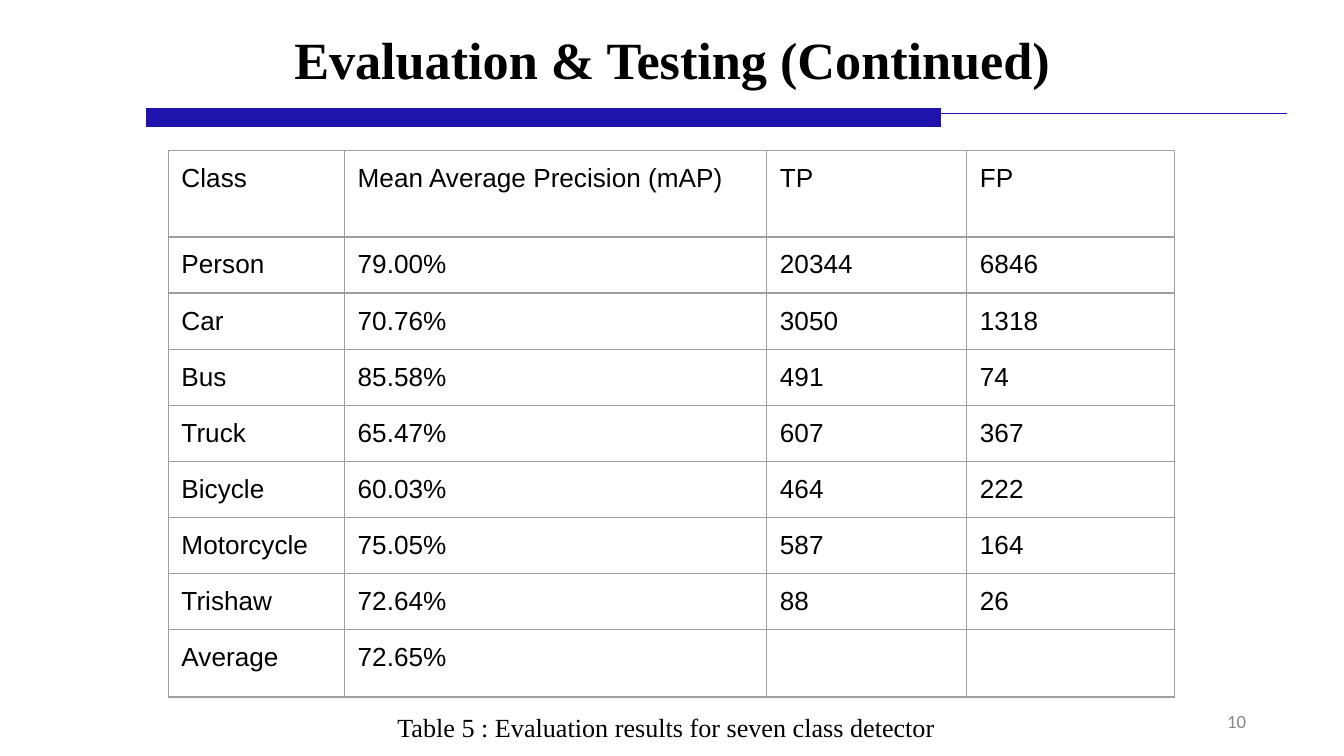
from dataclasses import dataclass

from lxml import etree
from pptx import Presentation
from pptx import util as u
from pptx.dml import color
from pptx.enum import shapes, text
from pptx.oxml import ns


@dataclass(frozen=True)
class Theme:
    ink: str = "000000"
    accent: str = "1E13AD"
    muted: str = "888888"
    grid: str = "9E9E9E"
    paper: str = "FFFFFF"
    serif: str = "Times New Roman"
    sans: str = "Arial"
    number_face: str = "Calibri"
    title_size: float = 28
    body_size: float = 14
    number_size: float = 10
    thin: float = 0.75
    thick: float = 10


THEME = Theme()
HEADER = ("Class", "Mean Average Precision (mAP)", "TP", "FP")
RESULTS = (
    ("Person", "79.00%", "20344", "6846"),
    ("Car", "70.76%", "3050", "1318"),
    ("Bus", "85.58%", "491", "74"),
    ("Truck", "65.47%", "607", "367"),
    ("Bicycle", "60.03%", "464", "222"),
    ("Motorcycle", "75.05%", "587", "164"),
    ("Trishaw", "72.64%", "88", "26"),
    ("Average", "72.65%", "", ""),
)
COLUMN_WIDTHS = (3.33, 7.98, 3.78, 3.92)
HEADER_HEIGHT, ROW_HEIGHT, LAST_HEIGHT = 1.63, 1.06, 1.23


def rgb(value):
    return color.RGBColor.from_string(value)


def set_all(target, values):
    for name, value in values.items():
        setattr(target, name, value)


def write(frame, words, size, face, ink=THEME.ink, bold=False, align=None):
    para = frame.paragraphs[0]
    para.alignment = align
    span = para.add_run()
    span.text = words
    set_all(span.font, {"size": u.Pt(size), "name": face, "bold": bold})
    span.font.color.rgb = rgb(ink)


def set_frame(frame, inset, anchor):
    set_all(frame, {
        "word_wrap": True,
        "auto_size": text.MSO_AUTO_SIZE.NONE,
        "vertical_anchor": anchor,
        "margin_left": u.Cm(inset),
        "margin_right": u.Cm(inset),
        "margin_top": u.Cm(inset),
        "margin_bottom": u.Cm(inset),
    })


def add_title(page, left, top, width, height):
    title = page.shapes.title
    set_all(title, {"left": u.Cm(left), "top": u.Cm(top),
                    "width": u.Cm(width), "height": u.Cm(height)})
    set_frame(title.text_frame, 0.13, text.MSO_ANCHOR.MIDDLE)
    write(title.text_frame, "Evaluation & Testing (Continued)", THEME.title_size,
          THEME.serif, bold=True, align=text.PP_ALIGN.CENTER)


def add_rule(page, left, top, width, weight):
    rule = page.shapes.add_connector(
        shapes.MSO_CONNECTOR.STRAIGHT,
        u.Cm(left), u.Cm(top), u.Cm(left + width), u.Cm(top))
    rule.line.width = u.Pt(weight)
    rule.line.color.rgb = rgb(THEME.accent)
    etree.SubElement(rule.element.spPr, ns.qn("a:effectLst"))


def add_divider(page, left, top, width):
    """Thin line with a thick bar over its left part."""
    add_rule(page, left + 0.43, top, width - 0.43, THEME.thin)
    add_rule(page, left, top + 0.07, 15.04, THEME.thick)


def add_borders(cell):
    properties = cell._tc.get_or_add_tcPr()
    for side in ("lnL", "lnR", "lnT", "lnB"):
        line = etree.SubElement(properties, ns.qn(f"a:{side}"),
                                w=str(u.Pt(THEME.thin)))
        fill = etree.SubElement(line, ns.qn("a:solidFill"))
        etree.SubElement(fill, ns.qn("a:srgbClr"), val=THEME.grid)


def add_results(page, left, top):
    rows = (HEADER, *RESULTS)
    heights = (HEADER_HEIGHT, *[ROW_HEIGHT] * (len(rows) - 2), LAST_HEIGHT)
    table = page.shapes.add_table(
        len(rows), len(HEADER), u.Cm(left), u.Cm(top),
        u.Cm(sum(COLUMN_WIDTHS)), u.Cm(sum(heights))).table
    set_all(table, {"first_row": False, "horz_banding": False})
    for column, width in zip(table.columns, COLUMN_WIDTHS):
        column.width = u.Cm(width)
    for row, height, values in zip(table.rows, heights, rows):
        row.height = u.Cm(height)
        for cell, value in zip(row.cells, values):
            set_all(cell, {f"margin_{side}": u.Cm(0.25)
                           for side in ("left", "right", "top", "bottom")})
            add_borders(cell)
            cell.fill.solid()
            cell.fill.fore_color.rgb = rgb(THEME.paper)
            if value:
                write(cell.text_frame, value, THEME.body_size, THEME.sans)


def add_caption(page, left, top, width, height):
    box = page.shapes.add_textbox(u.Cm(left), u.Cm(top), u.Cm(width), u.Cm(height))
    set_frame(box.text_frame, 0.25, text.MSO_ANCHOR.TOP)
    write(box.text_frame, "Table 5 : Evaluation results for seven class detector",
          THEME.body_size, THEME.serif)


def add_page_number(page, left, top, width, height):
    box = page.shapes.add_textbox(u.Cm(left), u.Cm(top), u.Cm(width), u.Cm(height))
    set_frame(box.text_frame, 0.13, text.MSO_ANCHOR.MIDDLE)
    write(box.text_frame, "10", THEME.number_size, THEME.number_face,
          THEME.muted, align=text.PP_ALIGN.RIGHT)


def main():
    deck = Presentation()
    set_all(deck, {"slide_width": u.Cm(25.4), "slide_height": u.Cm(14.29)})
    page = deck.slides.add_slide(deck.slide_layouts.get_by_name("Title Only"))
    add_title(page, 1.27, 0.36, 22.86, 1.5)
    add_divider(page, 2.75, 2.15, 21.58)
    add_page_number(page, 22.89, 13.36, 0.79, 0.53)
    add_results(page, 3.18, 2.85)
    add_caption(page, 7.26, 13.2, 10.85, 0.66)
    deck.save("out.pptx")


if __name__ == "__main__":
    main()
